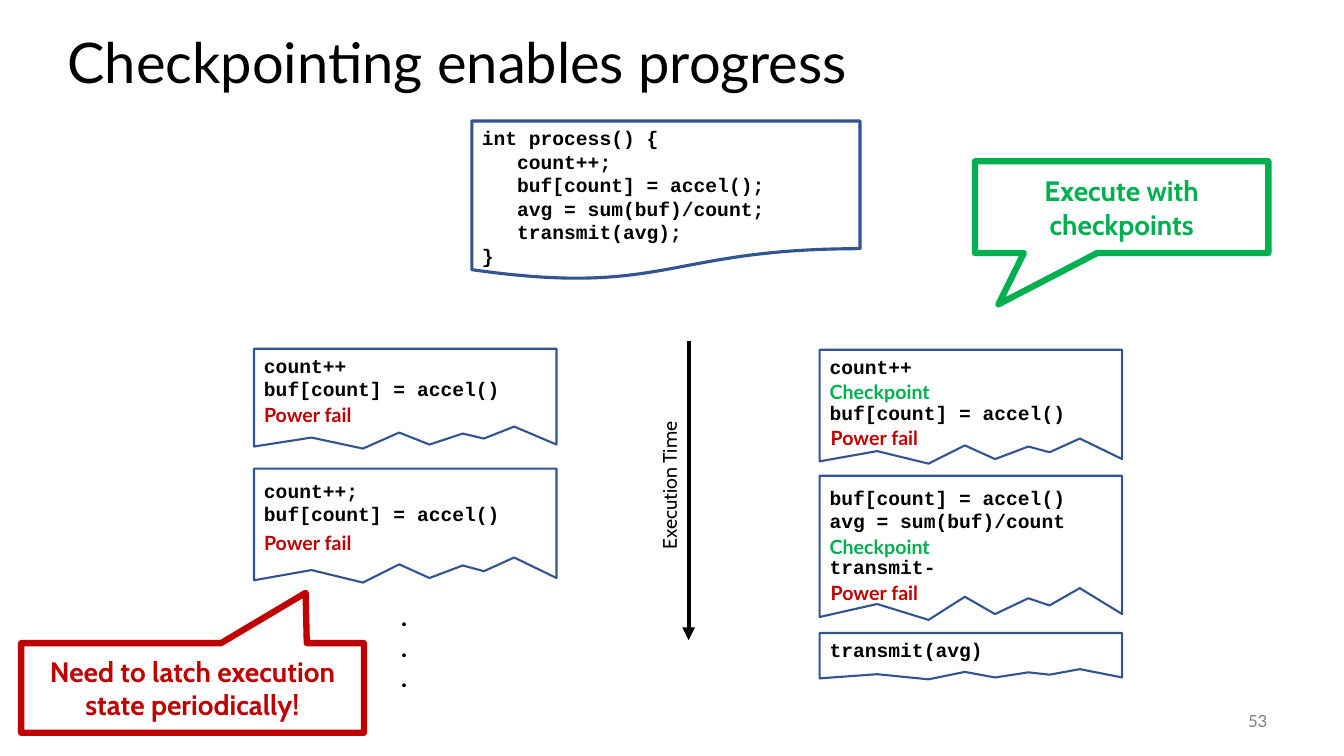
from dataclasses import dataclass

from pptx import Presentation
from pptx.dml.color import RGBColor
from pptx.enum.shapes import MSO_CONNECTOR, MSO_SHAPE
from pptx.enum.text import MSO_ANCHOR, MSO_AUTO_SIZE, PP_ALIGN
from pptx.oxml.xmlchemy import OxmlElement
from pptx.util import Emu, Pt

PX = 9144  # 100 px to the inch


@dataclass(frozen=True)
class Theme:
    black: str = "000000"
    white: str = "FFFFFF"
    blue: str = "325491"
    red: str = "C00000"
    green: str = "00B050"
    grey: str = "808080"
    body: str = "Lato"
    label: str = "Cabin"
    code: str = "Courier New"
    title_size: int = 40
    callout_size: int = 20
    dots_size: int = 18
    text_size: int = 14
    number_size: int = 12
    code_line: float = 15.86  # points, one line of code


# Torn lower edge, right to left: x and y as shares of the note
TORN_EDGE = [(1, .96), (.86, .78), (.76, .9), (.69, .85), (.58, .96),
             (.48, .84), (.36, 1), (.19, .89), (0, .98)]


class SlideBuilder:
    def __init__(self, s, theme):
        self.s = s
        self.t = theme

    def box(self, *lengths):
        return [Emu(v * PX) for v in lengths]

    def set_text(self, sp, lines, font, size, color, bold=False,
                 align=PP_ALIGN.LEFT, anchor=MSO_ANCHOR.TOP):
        tf = sp.text_frame
        tf.word_wrap = True
        tf.auto_size = MSO_AUTO_SIZE.NONE
        tf.vertical_anchor = anchor
        for i, line in enumerate(lines):
            p = tf.paragraphs[0] if i == 0 else tf.add_paragraph()
            p.text = line
            p.alignment = align
            p.font.name = font
            p.font.size = Pt(size)
            p.font.bold = bold
            p.font.color.rgb = RGBColor.from_string(color)
        return tf

    def outline(self, sp, color, width, filled=True):
        sp.shadow.inherit = False
        if filled:
            sp.fill.solid()
            sp.fill.fore_color.rgb = RGBColor.from_string(self.t.white)
        else:
            sp.fill.background()
        sp.line.color.rgb = RGBColor.from_string(color)
        sp.line.width = Pt(width)

    def title(self, text, x, y, w, h):
        sp = self.s.shapes.title
        sp.left, sp.top, sp.width, sp.height = self.box(x, y, w, h)
        self.set_text(sp, [text], self.t.body, self.t.title_size, self.t.black)

    def text(self, lines, x, y, w, h, font, size, color, rotation=0, **style):
        sp = self.s.shapes.add_textbox(*self.box(x, y, w, h))
        sp.rotation = rotation
        self.set_text(sp, lines, font, size, color, **style)

    def event(self, text, x, y, color):
        self.text([text], x, y, 151, 34, self.t.body, self.t.text_size,
                  color, bold=True)

    def code(self, sp, lines):
        return self.set_text(sp, lines, self.t.code, self.t.text_size,
                             self.t.black, bold=True)

    def source_code(self, lines, x, y, w, h):
        sp = self.s.shapes.add_shape(MSO_SHAPE.FLOWCHART_DOCUMENT,
                                     *self.box(x, y, w, h))
        self.outline(sp, self.t.blue, 2.25, filled=False)
        self.code(sp, lines)

    def torn_note(self, lines, x, y, h, w=300, top_inset=5, gap_before=None):
        fb = self.s.shapes.build_freeform(x * PX, y * PX)
        corners = [(1, 0)] + TORN_EDGE
        fb.add_line_segments([(round((x + fx * w) * PX), round((y + fy * h) * PX))
                              for fx, fy in corners], close=True)
        sp = fb.convert_to_shape()
        self.outline(sp, self.t.blue, 1.5)
        tf = self.code(sp, lines)
        tf.margin_top = Emu(top_inset * PX)
        if gap_before is not None:  # room for the checkpoint label
            tf.paragraphs[gap_before].space_before = Pt(self.t.code_line)

    def callout(self, text, x, y, w, h, tip, color):
        sp = self.s.shapes.add_shape(MSO_SHAPE.RECTANGULAR_CALLOUT,
                                     *self.box(x, y, w, h))
        sp.adjustments[0], sp.adjustments[1] = tip
        self.outline(sp, color, 4.5)
        self.set_text(sp, [text], self.t.label, self.t.callout_size, color,
                      bold=True, align=PP_ALIGN.CENTER, anchor=MSO_ANCHOR.MIDDLE)

    def arrow(self, x1, y1, x2, y2):
        c = self.s.shapes.add_connector(MSO_CONNECTOR.STRAIGHT,
                                        *self.box(x1, y1, x2, y2))
        c.line.color.rgb = RGBColor.from_string(self.t.black)
        c.line.width = Pt(3)
        tail = OxmlElement("a:tailEnd")
        tail.set("type", "triangle")
        c.get_or_add_ln().append(tail)
        c.element.spPr.append(OxmlElement("a:effectLst"))


def main():
    prs = Presentation()
    prs.slide_width, prs.slide_height = Emu(1333 * PX), Emu(750 * PX)
    t = Theme()
    b = SlideBuilder(prs.slides.add_slide(prs.slide_layouts[5]), t)

    b.title("Checkpointing enables progress", 57, 22, 1191, 77)

    # Time axis
    b.arrow(683, 338, 683, 635)
    b.text(["Execution Time"], 574, 448, 180, 34, t.label, t.text_size,
           t.black, rotation=270)

    # Program
    b.source_code(["int process() {", "   count++;", "   buf[count] = accel();",
                   "   avg = sum(buf)/count;", "   transmit(avg);", "}"],
                  468, 120, 385, 158)

    # Runs without checkpoints
    left = 252
    b.torn_note(["count++", "buf[count] = accel()"], left, 346, 99)
    b.torn_note(["count++;", "buf[count] = accel()"], left, 465, 113, top_inset=10)
    for y in (395, 522):
        b.event("Power fail", left, y, t.red)
    b.text(["."] * 3, 388, 592, 32, 101, t.body, t.dots_size, t.black, bold=True)
    b.callout("Need to latch execution state periodically!", 21, 638, 340, 89,
              (.33, -1.06), t.red)

    # Runs with checkpoints
    right = 813
    b.torn_note(["count++", "buf[count] = accel()"], right, 347, 113, gap_before=1)
    b.torn_note(["buf[count] = accel()", "avg = sum(buf)/count", "transmit-"],
                right, 472, 143, top_inset=10, gap_before=2)
    b.torn_note(["transmit(avg)"], right, 628, 46)
    for checkpoint_y, fail_y in ((372, 418), (526, 571)):
        b.event("Checkpoint", right, checkpoint_y, t.green)
        b.event("Power fail", right + 1, fail_y, t.red)
    b.callout("Execute with checkpoints", 967, 160, 291, 91, (-.42, 1.06), t.green)

    # Slide number
    b.text(["53"], 1167, 695, 100, 40, t.body, t.number_size, t.grey,
           align=PP_ALIGN.RIGHT, anchor=MSO_ANCHOR.MIDDLE)

    prs.save("out.pptx")


if __name__ == "__main__":
    main()
